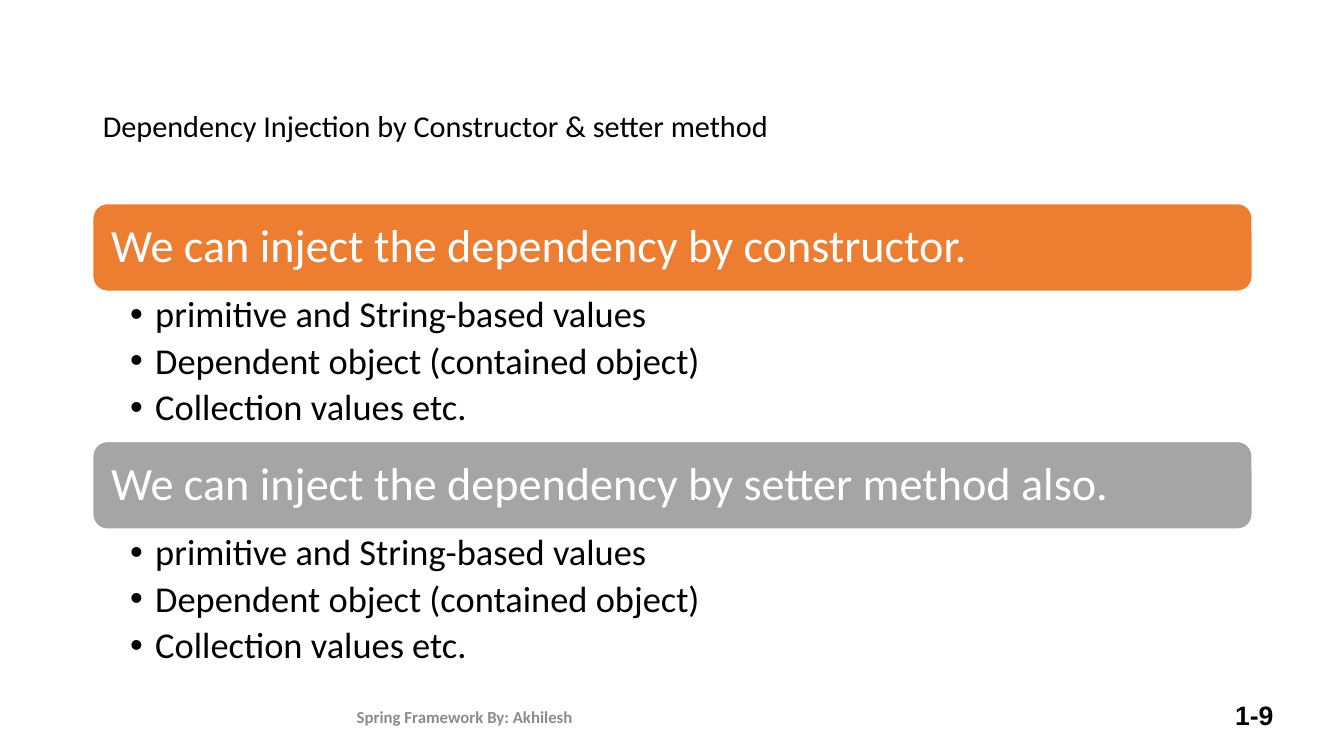
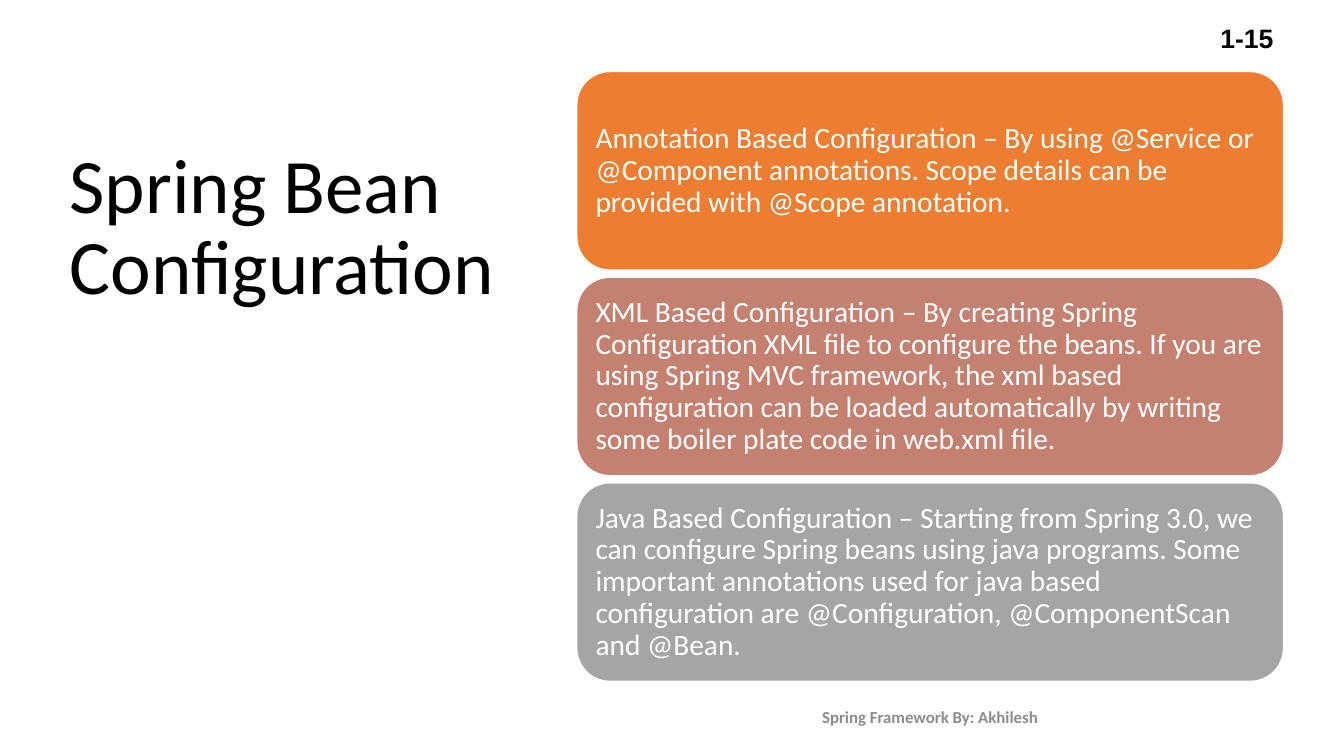
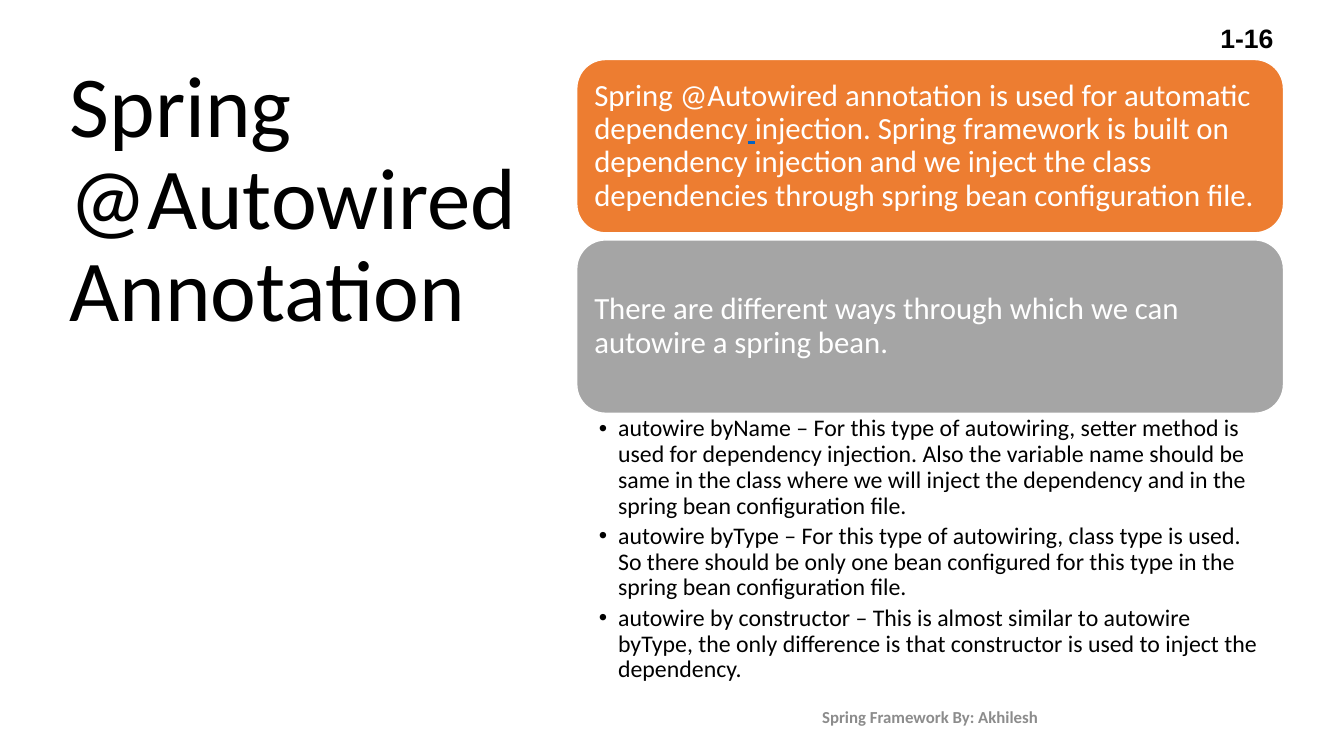
"""Three slides on Spring dependency injection, bean configuration and autowiring."""
from dataclasses import dataclass

from lxml import etree
from pptx import Presentation
from pptx import util as u
from pptx.dml.color import RGBColor
from pptx.enum import shapes, text
from pptx.oxml.ns import qn


@dataclass(frozen=True)
class Theme:
    """Colours, fonts and type sizes shared by the slides."""
    orange: str = "ED7D31"
    rose: str = "C48170"
    grey: str = "A5A5A5"
    white: str = "FFFFFF"
    black: str = "000000"
    link: str = "0563C1"
    muted: str = "8C8C8C"
    body_font: str = "Calibri"
    number_font: str = "Arial"
    footer_size: int = 12
    number_size: int = 19
    spacing: float = 0.9
    title_spacing: float = 0.88


THEME = Theme()
PX = 9144
SLIDE_SIZE = (1333, 750)
FOOTER = "Spring Framework By: Akhilesh"
INJECTABLE = [
    "primitive and String-based values",
    "Dependent object (contained object)",
    "Collection values etc.",
]
SIDE_TITLE = (59, 59, 492, 630)
SIDE_FOOTER = (572, 691, 701, 40)
TOP_NUMBER = (1190, 20, 83, 40)

PAGES = [
    {
        "title": "Dependency Injection by Constructor & setter method",
        "title_at": (92, 40, 1150, 145), "title_size": 21.6, "title_drop": 71,
        "footer_at": (59, 691, 804, 40),
        "number": "1-9", "number_at": (1190, 691, 83, 40),
        "stack": {"left": 92, "top": 202, "width": 1150, "card": 87, "gap": 0,
                  "inset": 14, "size": 33},
        "list": {"height": 149, "insets": (37, 5, 26, 5), "indent": 25, "size": 26},
        "cards": [
            (THEME.orange, ["We can inject the dependency by constructor."], INJECTABLE),
            (THEME.grey, ["We can inject the dependency by setter method also."], INJECTABLE),
        ],
    },
    {
        "title": "Spring Bean Configuration",
        "title_at": SIDE_TITLE, "title_size": 55, "title_drop": 88,
        "footer_at": SIDE_FOOTER, "number": "1-15", "number_at": TOP_NUMBER,
        "stack": {"left": 572, "top": 71, "width": 701, "card": 197, "gap": 7,
                  "inset": 9, "size": 21},
        "cards": [
            (THEME.orange, ["Annotation Based Configuration – By using @Service or @Component "
                            "annotations. Scope details can be provided with @Scope "
                            "annotation."], []),
            (THEME.rose, ["XML Based Configuration – By creating Spring Configuration XML file "
                          "to configure the beans. If you are using Spring MVC framework, the "
                          "xml based configuration can be loaded automatically by writing some "
                          "boiler plate code in web.xml file."], []),
            (THEME.grey, ["Java Based Configuration – Starting from Spring 3.0, we can configure "
                          "Spring beans using java programs. Some important annotations used "
                          "for java based configuration are @Configuration, @ComponentScan "
                          "and @Bean."], []),
        ],
    },
    {
        "title": "Spring @Autowired Annotation",
        "title_at": SIDE_TITLE, "title_size": 62, "title_drop": 5,
        "footer_at": SIDE_FOOTER, "number": "1-16", "number_at": TOP_NUMBER,
        "stack": {"left": 572, "top": 59, "width": 701, "card": 172, "gap": 7,
                  "inset": 9, "size": 22},
        "list": {"height": 279, "insets": (22, 3, 17, 3), "indent": 19, "size": 17},
        "cards": [
            (THEME.orange, ["Spring @Autowired annotation is used for automatic dependency",
                            " ",
                            "injection. Spring framework is built on dependency injection and "
                            "we inject the class dependencies through spring bean "
                            "configuration file."], []),
            (THEME.grey, ["There are different ways through which we can autowire a spring "
                          "bean."], [
                "autowire byName – For this type of autowiring, setter method is used for "
                "dependency injection. Also the variable name should be same in the class where "
                "we will inject the dependency and in the spring bean configuration file.",
                "autowire byType – For this type of autowiring, class type is used. So there "
                "should be only one bean configured for this type in the spring bean "
                "configuration file.",
                "autowire by constructor – This is almost similar to autowire byType, the only "
                "difference is that constructor is used to inject the dependency.",
            ]),
        ],
    },
]


def emu(lengths):
    return [length * PX for length in lengths]


def set_frame(frame, insets=(10, 5, 10, 5), anchor=text.MSO_ANCHOR.TOP):
    frame.word_wrap = True
    frame.auto_size = text.MSO_AUTO_SIZE.NONE
    frame.vertical_anchor = anchor
    (frame.margin_left, frame.margin_top,
     frame.margin_right, frame.margin_bottom) = emu(insets)


def style(para, size, colour, font=THEME.body_font, bold=False,
          align=text.PP_ALIGN.LEFT, spacing=THEME.spacing, after=0):
    para.alignment = align
    para.line_spacing = spacing
    para.space_after = u.Pt(after)
    para.font.size = u.Pt(size)
    para.font.name = font
    para.font.bold = bold
    para.font.color.rgb = RGBColor.from_string(colour)


def add_bullet(para, indent):
    props = para._p.get_or_add_pPr()
    props.set("marL", str(indent * PX))
    props.set("indent", str(-indent * PX))
    etree.SubElement(props, qn("a:buFont")).set("typeface", "Arial")
    etree.SubElement(props, qn("a:buChar")).set("char", "•")


def add_title(page, plan):
    title = page.shapes.title
    title.left, title.top, title.width, title.height = emu(plan["title_at"])
    set_frame(title.text_frame, (10, plan["title_drop"], 10, 5))
    title.text_frame.text = plan["title"]
    style(title.text_frame.paragraphs[0], plan["title_size"], THEME.black,
          spacing=THEME.title_spacing)


def add_label(page, at, words, **look):
    frame = page.shapes.add_textbox(*emu(at)).text_frame
    set_frame(frame, anchor=text.MSO_ANCHOR.MIDDLE)
    frame.text = words
    style(frame.paragraphs[0], bold=True, after=6, **look)


def add_card(page, at, fill, pieces, inset, size):
    box = page.shapes.add_shape(shapes.MSO_SHAPE.ROUNDED_RECTANGLE, *emu(at))
    box.shadow.inherit = False
    box.fill.solid()
    box.fill.fore_color.rgb = RGBColor.from_string(fill)
    box.line.color.rgb = RGBColor.from_string(THEME.white)
    box.line.width = u.Pt(1)
    set_frame(box.text_frame, (inset,) * 4, text.MSO_ANCHOR.MIDDLE)
    para = box.text_frame.paragraphs[0]
    style(para, size, THEME.white)
    for piece in pieces:
        span = para.add_run()
        span.text = piece
        if piece == " ":
            span.font.underline = True
            span.font.color.rgb = RGBColor.from_string(THEME.link)


def add_list(page, at, items, insets, indent, size):
    frame = page.shapes.add_textbox(*emu(at)).text_frame
    set_frame(frame, insets)
    for index, item in enumerate(items):
        para = frame.add_paragraph() if index else frame.paragraphs[0]
        para.text = item
        add_bullet(para, indent)
        style(para, size, THEME.black, after=round(size * 0.2, 1))


def add_stack(page, plan):
    stack = plan["stack"]
    left, top, width = stack["left"], stack["top"], stack["width"]
    for fill, pieces, items in plan["cards"]:
        add_card(page, (left, top, width, stack["card"]), fill, pieces,
                 stack["inset"], stack["size"])
        top += stack["card"]
        if items:
            points = plan["list"]
            add_list(page, (left, top, width, points["height"]), items,
                     points["insets"], points["indent"], points["size"])
            top += points["height"]
        top += stack["gap"]


def main():
    deck = Presentation()
    deck.slide_width, deck.slide_height = emu(SLIDE_SIZE)
    for plan in PAGES:
        page = deck.slides.add_slide(deck.slide_layouts[5])
        add_title(page, plan)
        add_stack(page, plan)
        add_label(page, plan["footer_at"], FOOTER, size=THEME.footer_size,
                  colour=THEME.muted, align=text.PP_ALIGN.CENTER, spacing=1.0)
        add_label(page, plan["number_at"], plan["number"], size=THEME.number_size,
                  colour=THEME.black, font=THEME.number_font, align=text.PP_ALIGN.RIGHT)
    deck.save("out.pptx")


if __name__ == "__main__":
    main()
